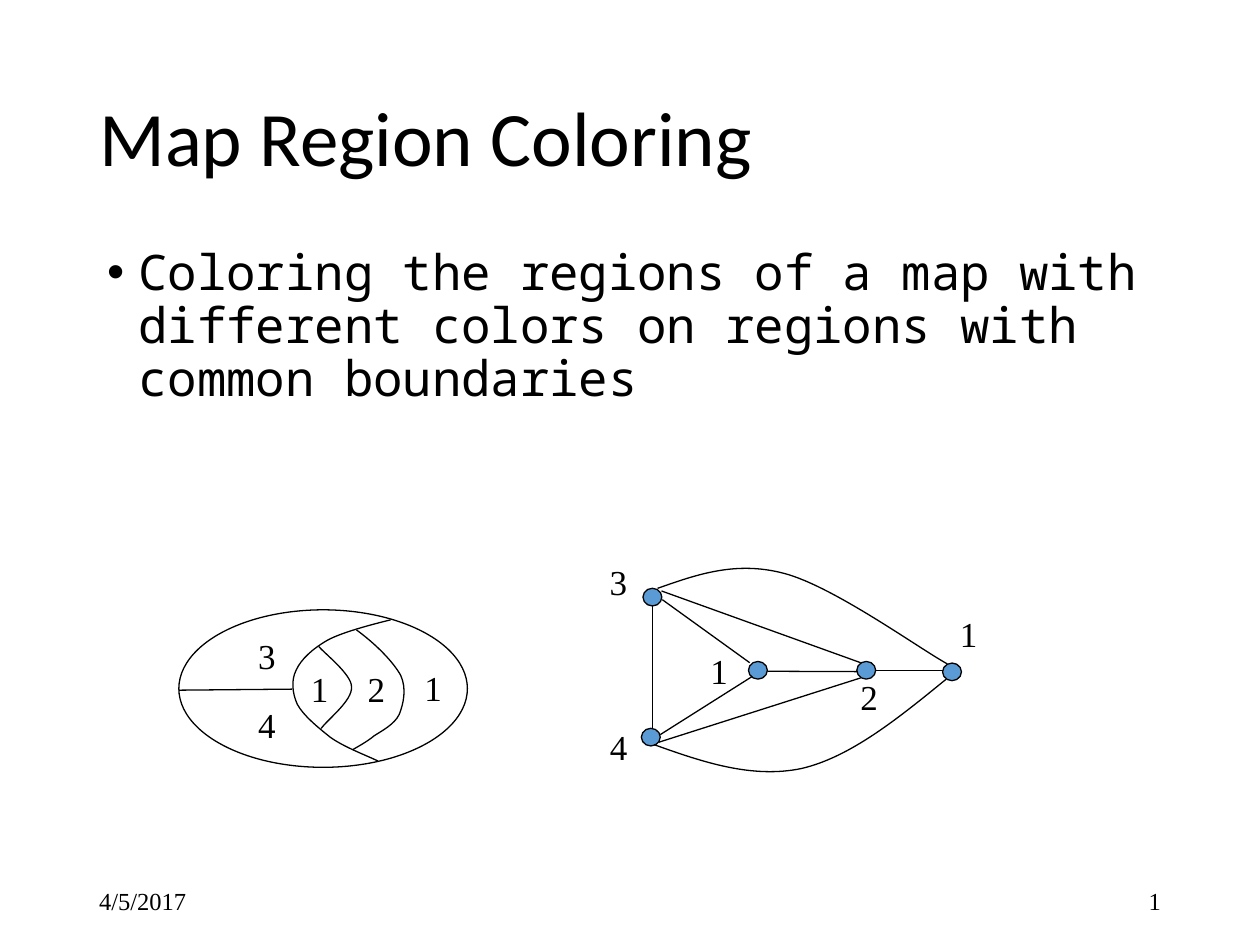
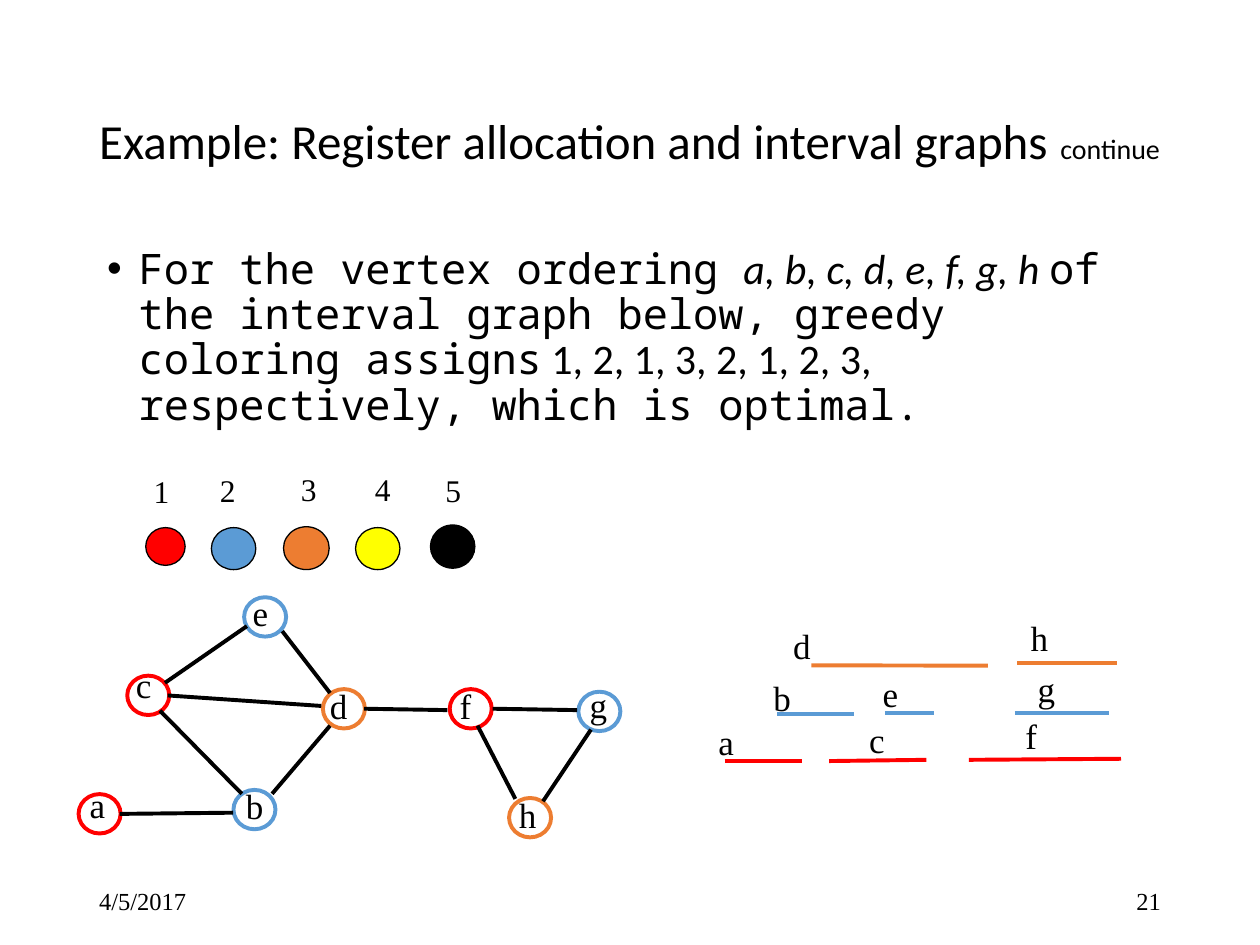
import dataclasses
import typing

import lxml.etree
import pptx
import pptx.dml.color
import pptx.enum.shapes
import pptx.enum.text
import pptx.oxml.ns
import pptx.slide
import pptx.util

Pt = pptx.util.Pt
Point = tuple[float, float]
Segment = tuple[float, float, float, float]
COLOURS = {"black": "000000", "red": "FF0000", "blue": "5B9BD5", "orange": "ED7D31", "yellow": "FFFF00"}
TITLE_FONT, BODY_FONT, LABEL_FONT = "Calibri", "Noto Sans Mono", "Times New Roman"
THIN, THICK = 0.75, 2.25


@dataclasses.dataclass
class TextRun:
    text: str
    size: float
    font: str
    italic: bool = False


@dataclasses.dataclass
class Label:
    text: str
    left: float
    top: float
    width: float = 31
    height: float = 31
    size: float = 20


@dataclasses.dataclass
class Ellipse:
    left: float
    top: float
    width: float
    height: float
    fill: str | None = None
    line: str = "black"
    weight: float = THIN


@dataclasses.dataclass
class Vertex:
    name: str
    left: float
    top: float
    label_left: float
    label_top: float


@dataclasses.dataclass
class Interval:
    name: str
    segment: Segment
    label_left: float
    label_top: float


# Map and its region graph
REGION_LABELS = [("3", 140.4, 359.3), ("4", 140.4, 398.2), ("1", 170.6, 378), ("2", 203, 378), ("1", 235.4, 377.3)]
NODE_LABELS = [("3", 341.3, 316.8), ("4", 341.5, 411.3), ("1", 398.9, 367.7), ("2", 484.6, 382.3), ("1", 541.4, 346.3)]
REGION_NODES = [(367.4, 336.2), (366.5, 416.2), (427.7, 378), (489.6, 378), (538.6, 378.9)]
WEST_BORDER = (102.2, 394.4, 167, 393.8)
REGION_EDGES = [
    (373, 346.3, 373, 416.2), (377.3, 419.8, 429.8, 386.6), (378.5, 342.7, 428.4, 378.7),
    (438.5, 383.6, 490.3, 383.8), (500.4, 383, 538.6, 383), (378, 337.7, 491.8, 378.7),
    (376.6, 424.1, 491.8, 387.4),
]
# Each curve is a start point, then two control points and an end point per piece
MAP_BORDERS = [
    [(223.2, 354.2), (217.4, 355.7), (196.6, 360.7), (187.2, 365.8),
     (178.6, 370.8), (172.1, 376.6), (169.2, 383), (166.3, 388.8), (167, 396), (169.9, 402.5),
     (173.5, 409), (181.4, 415.4), (188.6, 421.2), (196.6, 427), (210.2, 432), (216, 434.9)],
    [(182.2, 369.4), (185, 373), (200.9, 385.2), (200.9, 392.4),
     (201.6, 400.3), (187.2, 411.1), (183.6, 416.2)],
    [(203.8, 360), (214.6, 367.9), (224.6, 378), (229, 385.9),
     (232.6, 393.8), (230.4, 402.5), (228.2, 408.2), (225.4, 414), (218.2, 417.6), (213.8, 420.5),
     (209.5, 424.1), (203.8, 427), (201.6, 428.4)],
]
CURVED_EDGES = [
    [(375.8, 336.2), (398.2, 328.3), (420.5, 320.4), (447.8, 327.6),
     (475.9, 334.8), (525.6, 370.8), (541.4, 379.4)],
    [(373.7, 425.5), (401.8, 435.6), (429.8, 445), (457.9, 439.2),
     (486, 432.7), (513.4, 410.4), (540.7, 388.1)],
]

# Interval graph and its greedy coloring
PALETTE = ["red", "blue", "orange", "yellow", "black"]
GREEDY = {name: PALETTE[number - 1] for name, number in zip("abcdefgh", (1, 2, 1, 3, 2, 1, 2, 3))}
SWATCHES = [(83.3, 301.5, 22.5, 21.6), (120.8, 301.5, 25.4, 24), (162, 301, 26.1, 24.5),
            (203.2, 301.5, 25.4, 24), (246, 300, 25.4, 24.7)]
SWATCH_LABELS = [(80.8, 266.4), (118.6, 265.7), (164.9, 265), (207.2, 265), (247.5, 265.7)]
VERTICES = [
    Vertex("a", 44.9, 453.8, 44.2, 444.2), Vertex("b", 133.4, 451.4, 133.4, 445),
    Vertex("c", 72.7, 386.1, 70.6, 375.8), Vertex("d", 184.5, 393.8, 181.4, 387.9),
    Vertex("e", 139.5, 341.3, 137.3, 334.6), Vertex("f", 257, 393.8, 255.6, 387.9),
    Vertex("g", 330.5, 395.3, 329.9, 387.2), Vertex("h", 290.9, 456, 289.4, 450),
]
INTERVAL_EDGES = [
    (94.3, 390.2, 141.1, 357.8), (91.4, 406.1, 138.2, 453.6), (161.3, 360.7, 188.6, 396),
    (155.5, 453.6, 188.6, 414.7), (95.8, 397.4, 183.6, 403.4), (208.1, 405, 255.6, 405.8),
    (281.5, 405, 329.8, 405.8), (272.9, 414.7, 294.5, 456.5), (310.3, 457.9, 337.7, 416.9),
    (68.4, 465.1, 133.2, 464.4),
]
INTERVALS = [
    Interval("a", (414, 434.9, 458.1, 434.9), 403.4, 408.2),
    Interval("b", (444.2, 408, 488.2, 408), 434.9, 383),
    Interval("c", (473.8, 434.9, 529.4, 434.2), 489.6, 407.3),
    Interval("d", (463.7, 380.2, 564.5, 380.4), 446.2, 353.5),
    Interval("e", (505.6, 407.3, 534, 407.3), 497.3, 380.9),
    Interval("f", (553.7, 434.2, 640.6, 433.6), 578.9, 404.6),
    Interval("g", (579.9, 407.3, 633.6, 407.3), 585.9, 378),
    Interval("h", (581.2, 378.7, 638.1, 378.7), 581.8, 348.5),
]


def rgb(name: str) -> pptx.dml.color.RGBColor:
    return pptx.dml.color.RGBColor.from_string(COLOURS[name])


def set_font(font: typing.Any, name: str, size: float, italic: bool = False) -> None:
    font.name, font.size, font.italic = name, Pt(size), italic
    font.color.rgb = rgb("black")


def set_line(line: typing.Any, colour: str, weight: float) -> None:
    line.color.rgb = rgb(colour)
    line.width = Pt(weight)


def fill_placeholder(shape: typing.Any, box: Segment, runs: list[TextRun]) -> typing.Any:
    """Move a placeholder, write its one paragraph and return that paragraph."""
    shape.left, shape.top, shape.width, shape.height = map(Pt, box)
    frame = shape.text_frame
    frame.word_wrap = True
    frame.auto_size = pptx.enum.text.MSO_AUTO_SIZE.NONE
    paragraph = frame.paragraphs[0]
    paragraph.alignment = pptx.enum.text.PP_ALIGN.LEFT
    paragraph.line_spacing = 0.9
    paragraph.space_before = Pt(0)
    for part in runs:
        run = paragraph.add_run()
        run.text = part.text
        if len(runs) > 1:
            set_font(run.font, part.font, part.size, part.italic)
    return paragraph


def add_bullet(paragraph: typing.Any) -> None:
    properties = paragraph._p.get_or_add_pPr()
    properties.set("marL", str(Pt(18)))
    properties.set("indent", str(Pt(-18)))
    for tag, key, value in (("a:buFont", "typeface", "Arial"), ("a:buChar", "char", "•")):
        lxml.etree.SubElement(properties, pptx.oxml.ns.qn(tag)).set(key, value)


def add_label(slide: pptx.slide.Slide, label: Label) -> typing.Any:
    box = slide.shapes.add_textbox(Pt(label.left), Pt(label.top), Pt(label.width), Pt(label.height))
    box.text_frame.word_wrap = True
    paragraph = box.text_frame.paragraphs[0]
    paragraph.text = label.text
    set_font(paragraph.font, LABEL_FONT, label.size)
    return box


def add_ellipse(slide: pptx.slide.Slide, ellipse: Ellipse) -> None:
    shape = slide.shapes.add_shape(pptx.enum.shapes.MSO_SHAPE.OVAL, Pt(ellipse.left), Pt(ellipse.top),
                                   Pt(ellipse.width), Pt(ellipse.height))
    shape.shadow.inherit = False
    if ellipse.fill:
        shape.fill.solid()
        shape.fill.fore_color.rgb = rgb(ellipse.fill)
    else:
        shape.fill.background()
    set_line(shape.line, ellipse.line, ellipse.weight)


def add_line(slide: pptx.slide.Slide, segment: Segment, colour: str = "black", weight: float = THIN) -> None:
    connector = slide.shapes.add_connector(pptx.enum.shapes.MSO_CONNECTOR.STRAIGHT, *map(Pt, segment))
    set_line(connector.line, colour, weight)
    lxml.etree.SubElement(connector._element.spPr, pptx.oxml.ns.qn("a:effectLst"))


def add_curve(slide: pptx.slide.Slide, points: list[Point]) -> None:
    """Draw an open outline whose points, three by three, become cubic curves."""
    start, *controls = [(Pt(x), Pt(y)) for x, y in points]
    builder = slide.shapes.build_freeform(*start)
    builder.add_line_segments(controls, close=False)
    shape = builder.convert_to_shape()
    steps = list(shape._element.iter(pptx.oxml.ns.qn("a:lnTo")))
    outline = steps[0].getparent()
    for first in range(0, len(steps), 3):
        curve = lxml.etree.SubElement(outline, pptx.oxml.ns.qn("a:cubicBezTo"))
        for step in steps[first:first + 3]:
            curve.append(step[0])
            outline.remove(step)
    shape.shadow.inherit = False
    shape.fill.background()
    set_line(shape.line, "black", THIN)


def add_slide(presentation: typing.Any, title: list[TextRun], body: list[TextRun],
              body_height: float, number: str) -> pptx.slide.Slide:
    slide = presentation.slides.add_slide(presentation.slide_layouts[1])
    heading = fill_placeholder(slide.shapes.title, (49.5, 28.8, 621, 104.4), title)
    slide.shapes.title.text_frame.vertical_anchor = pptx.enum.text.MSO_ANCHOR.MIDDLE
    item = fill_placeholder(slide.placeholders[1], (54, 138, 612, body_height), body)
    add_bullet(item)
    for paragraph, runs in ((heading, title), (item, body)):
        if len(runs) == 1:
            set_font(paragraph.font, runs[0].font, runs[0].size)
    for text, left, alignment in (("4/5/2017", 49.5, pptx.enum.text.PP_ALIGN.LEFT),
                                  (number, 508.5, pptx.enum.text.PP_ALIGN.RIGHT)):
        footer = add_label(slide, Label(text, left, 500.5, 162, 28.8, 14))
        footer.text_frame.vertical_anchor = pptx.enum.text.MSO_ANCHOR.MIDDLE
        footer.text_frame.paragraphs[0].alignment = alignment
    return slide


def build_map_slide(presentation: typing.Any) -> None:
    slide = add_slide(
        presentation, [TextRun("Map Region Coloring", 44, TITLE_FONT)],
        [TextRun("Coloring the regions of a map with different colors on regions with common boundaries",
                 28, BODY_FONT)], 162, "1")
    add_ellipse(slide, Ellipse(102.2, 348.5, 164.9, 90))
    add_line(slide, WEST_BORDER)
    for border in MAP_BORDERS:
        add_curve(slide, border)
    for left, top in REGION_NODES:
        add_ellipse(slide, Ellipse(left, top, 10.8, 10.1, fill="blue"))
    for edge in REGION_EDGES:
        add_line(slide, edge)
    for edge in CURVED_EDGES:
        add_curve(slide, edge)
    for text, left, top in REGION_LABELS + NODE_LABELS:
        add_label(slide, Label(text, left, top, width=23.8))


def build_interval_slide(presentation: typing.Any) -> None:
    slide = add_slide(
        presentation,
        [TextRun("Example: Register allocation and interval graphs", 28, TITLE_FONT),
         TextRun(" ", 32, TITLE_FONT), TextRun("continue", 16, TITLE_FONT)],
        [TextRun("For the vertex ordering ", 24, BODY_FONT),
         TextRun("a, b, c, d, e, f, g, h ", 24, TITLE_FONT, italic=True),
         TextRun("of the interval graph below, greedy coloring assigns", 24, BODY_FONT),
         TextRun(" 1, 2, 1, 3, 2, 1, 2, 3, ", 24, TITLE_FONT),
         TextRun("respectively, which is optimal.", 24, BODY_FONT)], 119.5, "21")
    for vertex in VERTICES:
        add_ellipse(slide, Ellipse(vertex.left, vertex.top, 24, 22.5,
                                   line=GREEDY[vertex.name], weight=THICK))
    for edge in INTERVAL_EDGES:
        add_line(slide, edge, weight=THICK)
    for number, (colour, swatch, corner) in enumerate(zip(PALETTE, SWATCHES, SWATCH_LABELS), 1):
        add_ellipse(slide, Ellipse(*swatch, fill=colour))
        add_label(slide, Label(str(number), *corner, 38.2, 28.8, 18))
    for interval in INTERVALS:
        add_line(slide, interval.segment, GREEDY[interval.name], THICK)
    for item in VERTICES + INTERVALS:
        add_label(slide, Label(item.name, item.label_left, item.label_top))


def main() -> None:
    presentation = pptx.Presentation()
    presentation.slide_width, presentation.slide_height = Pt(720), Pt(540)
    build_map_slide(presentation)
    build_interval_slide(presentation)
    presentation.save("out.pptx")


if __name__ == "__main__":
    main()
